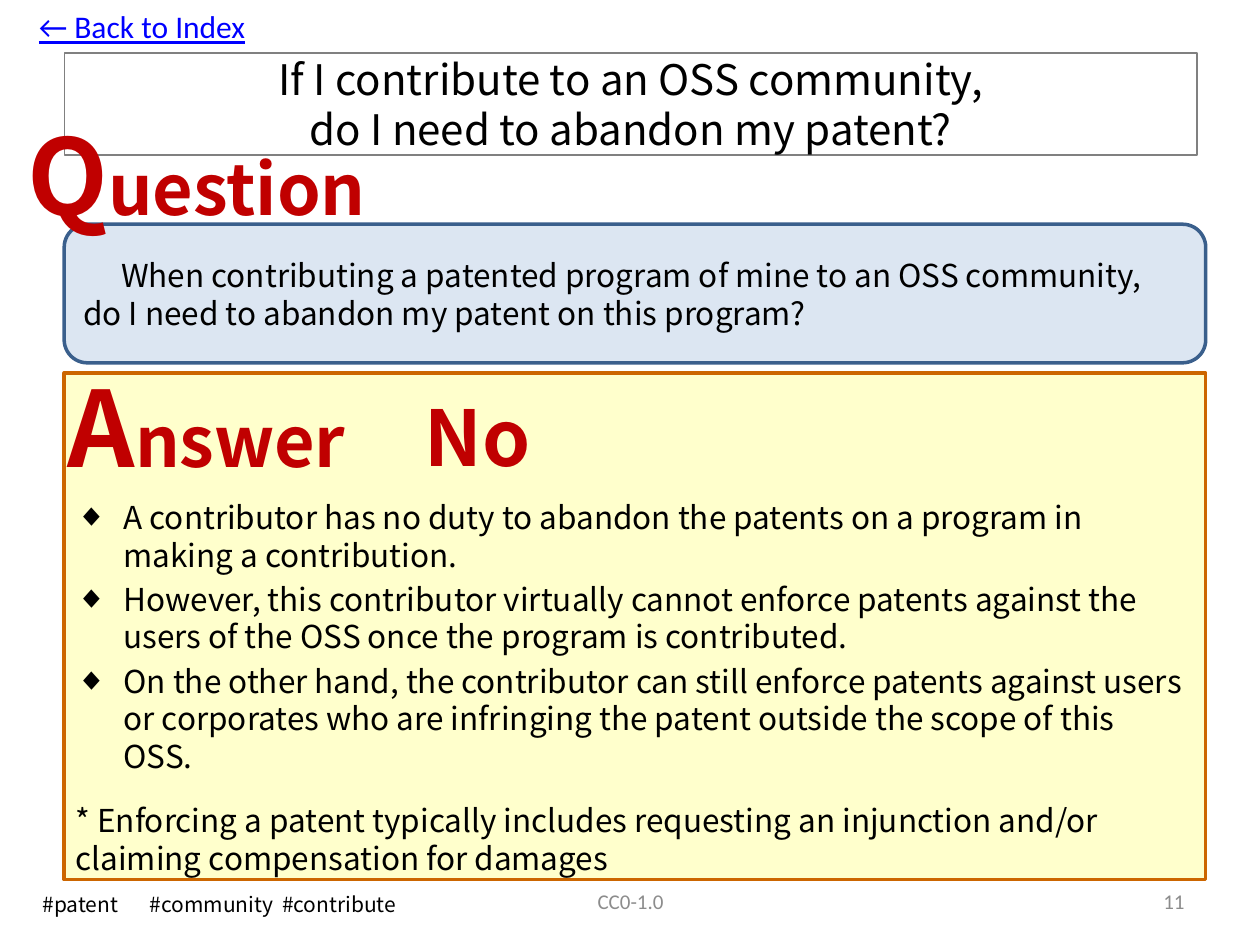
from lxml import etree
from pptx import Presentation
from pptx.dml.color import RGBColor
from pptx.enum.shapes import MSO_SHAPE
from pptx.enum.text import MSO_ANCHOR, MSO_AUTO_SIZE, PP_ALIGN
from pptx.oxml.ns import qn
from pptx.util import Inches, Pt

RECT, ROUND = MSO_SHAPE.RECTANGLE, MSO_SHAPE.ROUNDED_RECTANGLE
TOP, MIDDLE = MSO_ANCHOR.TOP, MSO_ANCHOR.MIDDLE
LEFT, CENTER, RIGHT = PP_ALIGN.LEFT, PP_ALIGN.CENTER, PP_ALIGN.RIGHT
FIXED = MSO_AUTO_SIZE.NONE
SANS, PLAIN = "Noto Sans CJK JP", "Calibri"
LEAD = 1.2  # line pitch relative to the text size

COLORS = {
    "black": "000000", "red": "C00000", "blue": "0000FF", "gray": "8C8C8C",
    "frame": "808080", "cream": "FFFFCC", "orange": "CC6600",
    "pale": "DCE6F2", "navy": "3A5F8C",
}
POINTS = [
    "A contributor has no duty to abandon the patents on a program in making a contribution.",
    "However, this contributor virtually cannot enforce patents against the users of the OSS "
    "once the program is contributed.",
    "On the other hand, the contributor can still enforce patents against users or corporates "
    "who are infringing the patent outside the scope of this OSS.",
]
NOTE = ("* Enforcing a patent typically includes requesting an injunction and/or "
        "claiming compensation for damages")
QUERY = ("When contributing a patented program of mine to an OSS community, "
         "do I need to abandon my patent on this program?")


def color(key):
    return RGBColor.from_string(COLORS[key])


def assign(target, values):
    for name, value in values.items():
        setattr(target, name, value)


def place(shape, box):
    names = ("left", "top", "width", "height")
    assign(shape, dict(zip(names, map(Inches, box))))


def setup(shape, anchor=TOP, wrap=True):
    frame = shape.text_frame
    assign(frame, {"auto_size": FIXED, "word_wrap": wrap, "vertical_anchor": anchor})
    return frame


def style(font, size, name=SANS, ink="black", **extra):
    assign(font, {"size": Pt(size), "name": name, **extra})
    font.color.rgb = color(ink)


def write(para, parts, align=LEFT, **look):
    """Fill a paragraph with (text, size) parts."""
    para.alignment = align
    para.line_spacing = Pt(LEAD * max(size for _, size in parts))
    for text, size in parts:
        run = para.add_run()
        run.text = text
        style(run.font, size, **look)


def indent(para, margin, first, mark=None):
    props = para._p.get_or_add_pPr()
    props.set("marL", str(Inches(margin)))
    props.set("indent", str(Inches(first)))
    if mark:
        etree.SubElement(props, qn("a:buChar")).set("char", mark)
    else:
        etree.SubElement(props, qn("a:buNone"))


def add_tabs(para, stops):
    tabs = etree.SubElement(para._p.get_or_add_pPr(), qn("a:tabLst"))
    for stop in stops:
        tab = etree.SubElement(tabs, qn("a:tab"))
        tab.set("pos", str(Inches(stop)))
        tab.set("algn", "l")


def add_panel(slide, kind, box, fill, edge):
    panel = slide.shapes.add_shape(kind, *map(Inches, box))
    panel.shadow.inherit = False
    panel.fill.solid()
    panel.fill.fore_color.rgb = color(fill)
    panel.line.color.rgb = color(edge)
    panel.line.width = Pt(2)
    return panel


def add_label(slide, box, parts, anchor=TOP, wrap=True, stops=(), **look):
    label = slide.shapes.add_textbox(*map(Inches, box))
    para = setup(label, anchor, wrap).paragraphs[0]
    if stops:
        add_tabs(para, stops)
    write(para, parts, **look)


def fill_title(title):
    place(title, (0.51, 0.42, 8.99, 0.81))
    title.line.color.rgb = color("frame")
    title.line.width = Pt(0.75)
    frame = setup(title, MIDDLE)
    assign(frame, {"margin_top": 0, "margin_bottom": 0})
    para = frame.paragraphs[0]
    write(para, [("If I contribute to an OSS community,", 24)], CENTER)
    para.add_line_break()
    write(para, [("do I need to abandon my patent?", 24)], CENTER)


def fill_body(body):
    place(body, (0.5, 3.9, 9, 3.08))
    frame = setup(body)
    for i, text in enumerate(POINTS + [NOTE]):
        para = frame.add_paragraph() if i else frame.paragraphs[0]
        if text == NOTE:
            indent(para, 0, 0)
            gap = 15
        else:
            indent(para, 0.38, -0.38, "◆")
            gap = 3.6 if i else 0
        para.space_before = Pt(gap)
        write(para, [(text, 18)])


def main():
    deck = Presentation()
    deck.slide_width, deck.slide_height = Inches(10), Inches(7.5)
    slide = deck.slides.add_slide(deck.slide_layouts[1])
    title, body = slide.placeholders

    # Answer panel goes behind the placeholders
    answer = add_panel(slide, RECT, (0.51, 2.96, 9.06, 4.02), "cream", "orange")
    title._element.addprevious(answer._element)
    fill_title(title)
    fill_body(body)

    # Question panel
    query = add_panel(slide, ROUND, (0.51, 1.78, 9.06, 1.1), "pale", "navy")
    para = setup(query, MIDDLE).paragraphs[0]
    indent(para, 0, 0.3)
    write(para, [(QUERY, 18)])

    # Red headings
    red = {"ink": "red", "bold": True}
    add_label(slide, (0.12, 0.83, 3.07, 1.11), [("Q", 60), ("uestion", 40)], wrap=False, **red)
    add_label(slide, (0.44, 2.83, 2.63, 1.11), [("A", 60), ("nswer", 40)], wrap=False, **red)
    add_label(slide, (3.27, 3.04, 2.13, 0.84), [("No", 44)], **red)

    # Footer, tags and index link
    foot = {"anchor": MIDDLE, "name": PLAIN, "ink": "gray"}
    add_label(slide, (3.42, 6.95, 3.17, 0.4), [("CC0-1.0", 12)], align=CENTER, **foot)
    add_label(slide, (7.17, 6.95, 2.33, 0.4), [("11", 12)], align=RIGHT, **foot)
    add_label(slide, (0.24, 7.03, 3.66, 0.3), [("#patent\t#community\t#contribute", 12)],
              stops=(0.85, 1.9))
    add_label(slide, (0.21, 0.01, 1.86, 0.4), [("← Back to Index", 18)], wrap=False,
              name=PLAIN, ink="blue", underline=True)

    deck.save("out.pptx")


if __name__ == "__main__":
    main()
